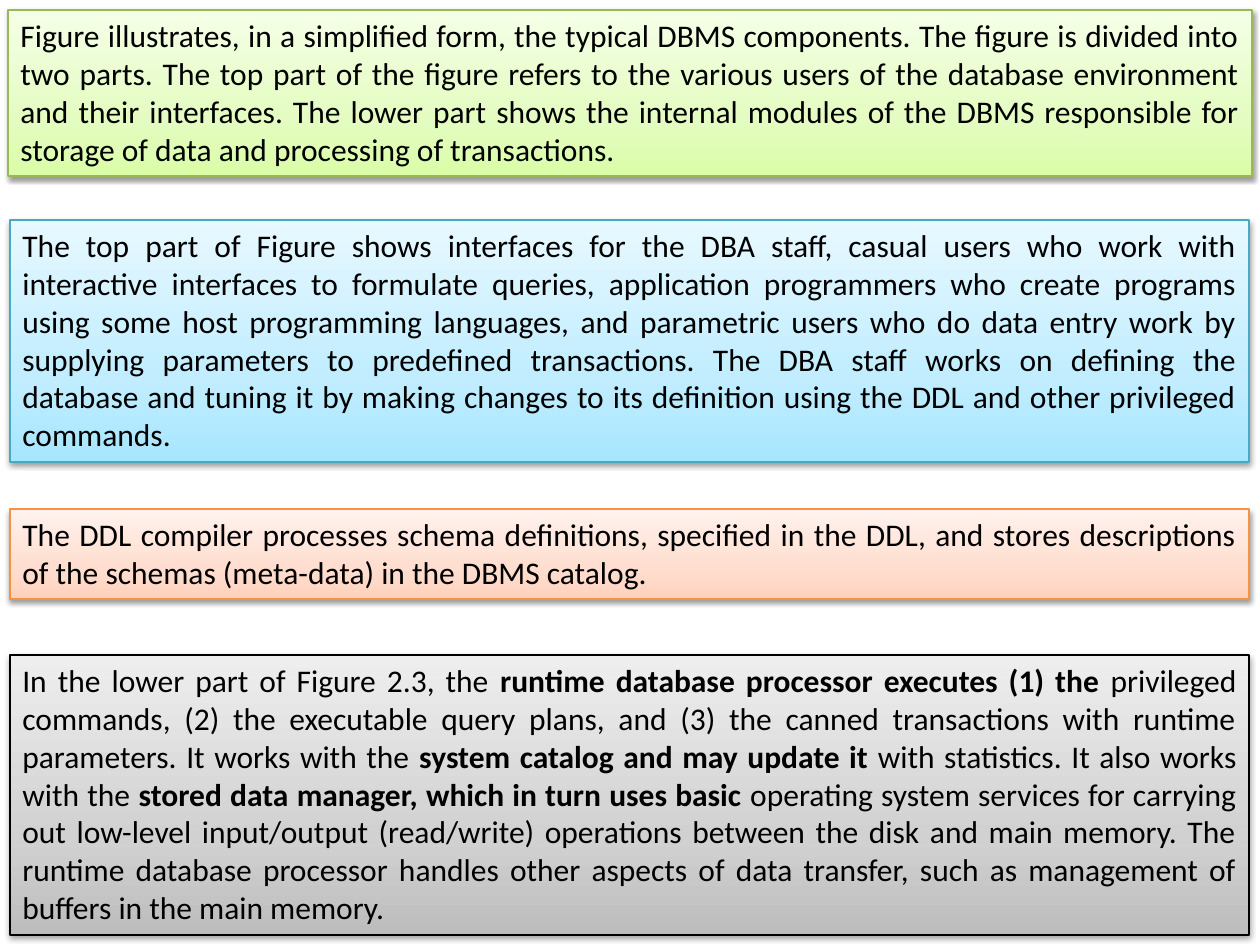
from copy import deepcopy

from lxml import etree
from pptx import Presentation
from pptx.dml.color import RGBColor
from pptx.enum.text import MSO_AUTO_SIZE as AutoSize, PP_ALIGN as Align
from pptx.oxml.ns import qn
from pptx.util import Emu, Pt

PX = 914400 // 126  # EMU per pixel

# left, top, width, height; gradient colours from bottom to top; line; (text, bold) runs
PANELS = [
    ((8, 10, 1244, 166), ("DAFDA7", "E4FCC2", "F5FFE7"), "98B955", [
        ("Figure illustrates, in a simplified form, the typical DBMS components. "
         "The figure is divided into two parts. The top part of the figure refers "
         "to the various users of the database environment and their interfaces. "
         "The lower part shows the internal modules of the DBMS responsible for "
         "storage of data and processing of transactions.", False)]),
    ((10, 220, 1239, 242), ("A7E6FF", "C1EDFF", "E7F8FF"), "46AAC5", [
        ("The top part of Figure shows interfaces for the DBA staff, casual users "
         "who work with interactive interfaces to formulate queries, application "
         "programmers who create programs using some host programming languages, "
         "and parametric users who do data entry work by supplying parameters to "
         "predefined transactions. The DBA staff works on defining the database "
         "and tuning it by making changes to its definition using the DDL and "
         "other privileged commands.", False)]),
    ((10, 509, 1239, 90), ("FFD2BD", "FFDED0", "FFF2ED"), "F69240", [
        ("The DDL compiler processes schema definitions, specified in the DDL, and "
         "stores descriptions of the schemas (meta-data) in the DBMS catalog.", False)]),
    ((10, 655, 1239, 280), ("BDBDBD", "D1D1D1", "EEEEEE"), "000000", [
        ("In the lower part of Figure 2.3, the ", False),
        ("runtime database processor executes (1) the ", True),
        ("privileged commands, (2) the executable query plans, and (3) the canned "
         "transactions with runtime parameters. It works with the ", False),
        ("system catalog and may update it ", True),
        ("with statistics. It also works with the ", False),
        ("stored data manager, which in turn uses basic ", True),
        ("operating system services for carrying out low-level input/output "
         "(read/write) operations between the disk and main memory. The runtime "
         "database processor handles other aspects of data transfer, such as "
         "management of buffers in the main memory.", False)]),
]


def px(n):
    return Emu(n * PX)


def rgb(color):
    return RGBColor.from_string(color)


def set_gradient(sp, colors):
    """Upward gradient with stops at 0, 35 and 100 percent."""
    sp.fill.gradient()
    sp.fill.gradient_angle = 90
    stops = sp._element.spPr.find(".//" + qn("a:gsLst"))
    stops.insert(1, deepcopy(stops[0]))
    for stop, color, pos in zip(sp.fill.gradient_stops, colors, (0, 0.35, 1)):
        stop.color.rgb = rgb(color)
        stop.position = pos


def set_shadow(sp):
    """Soft black shadow straight below the panel."""
    sp.shadow.inherit = False
    effects = sp._element.spPr.find(qn("a:effectLst"))
    shadow = etree.SubElement(effects, qn("a:outerShdw"), blurRad="40000",
                              dist="20000", dir="5400000", rotWithShape="0")
    color = etree.SubElement(shadow, qn("a:srgbClr"), val="000000")
    etree.SubElement(color, qn("a:alpha"), val="38000")


def add_panel(slide, box, colors, line, runs):
    sp = slide.shapes.add_textbox(*map(px, box))
    set_gradient(sp, colors)
    sp.line.color.rgb = rgb(line)
    sp.line.width = Pt(0.75)
    set_shadow(sp)

    # Justified text
    tf = sp.text_frame
    tf.word_wrap = True
    tf.auto_size = AutoSize.SHAPE_TO_FIT_TEXT
    p = tf.paragraphs[0]
    p.alignment = Align.JUSTIFY
    p.font.name = "Calibri"
    p.font.size = Pt(18)
    p.font.color.rgb = rgb("000000")
    for text, bold in runs:
        r = p.add_run()
        r.text = text
        if bold:
            r.font.bold = True


def main():
    prs = Presentation()
    prs.slide_width, prs.slide_height = px(1260), px(945)
    slide = prs.slides.add_slide(prs.slide_layouts[6])
    for panel in PANELS:
        add_panel(slide, *panel)
    prs.save("out.pptx")


main()
